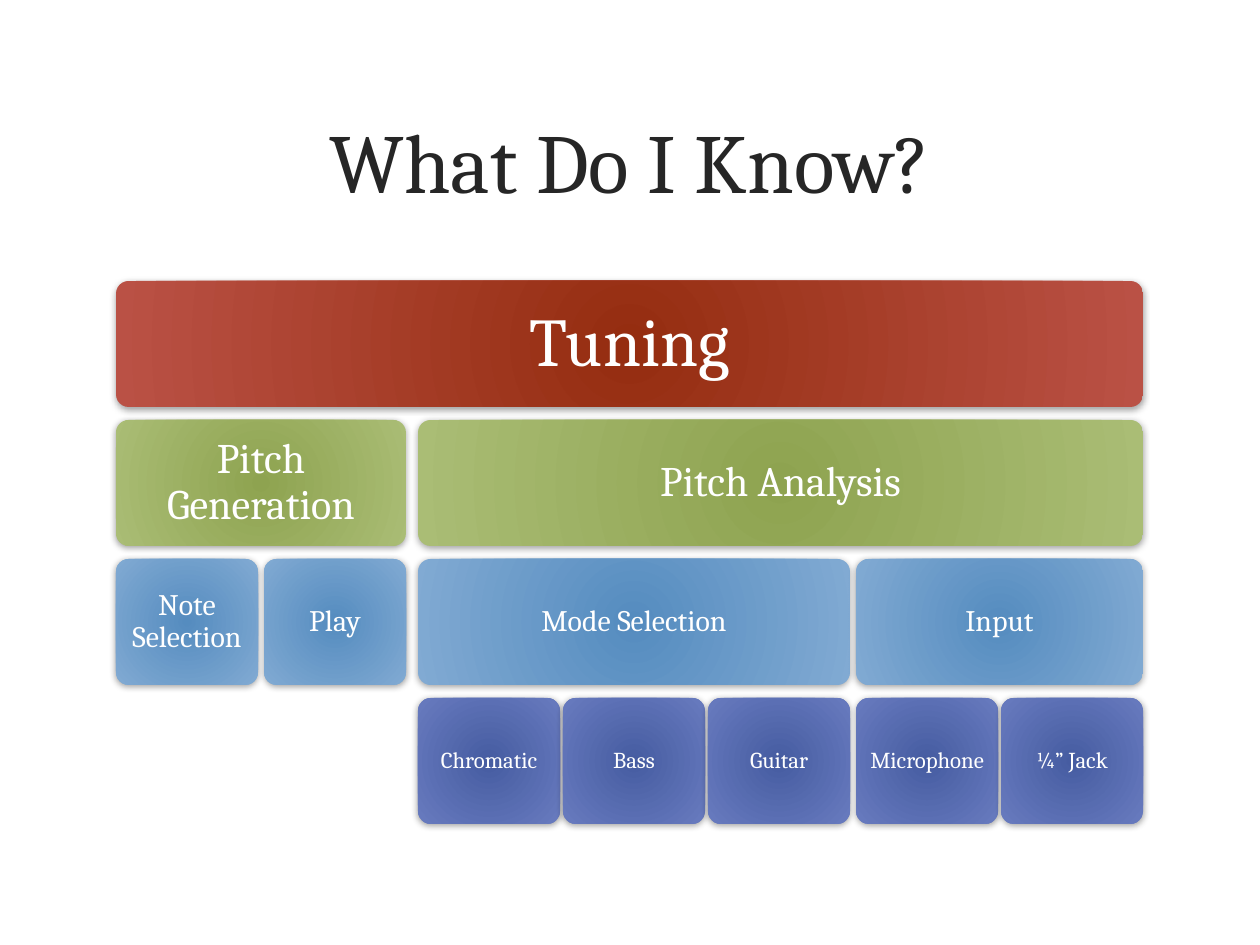
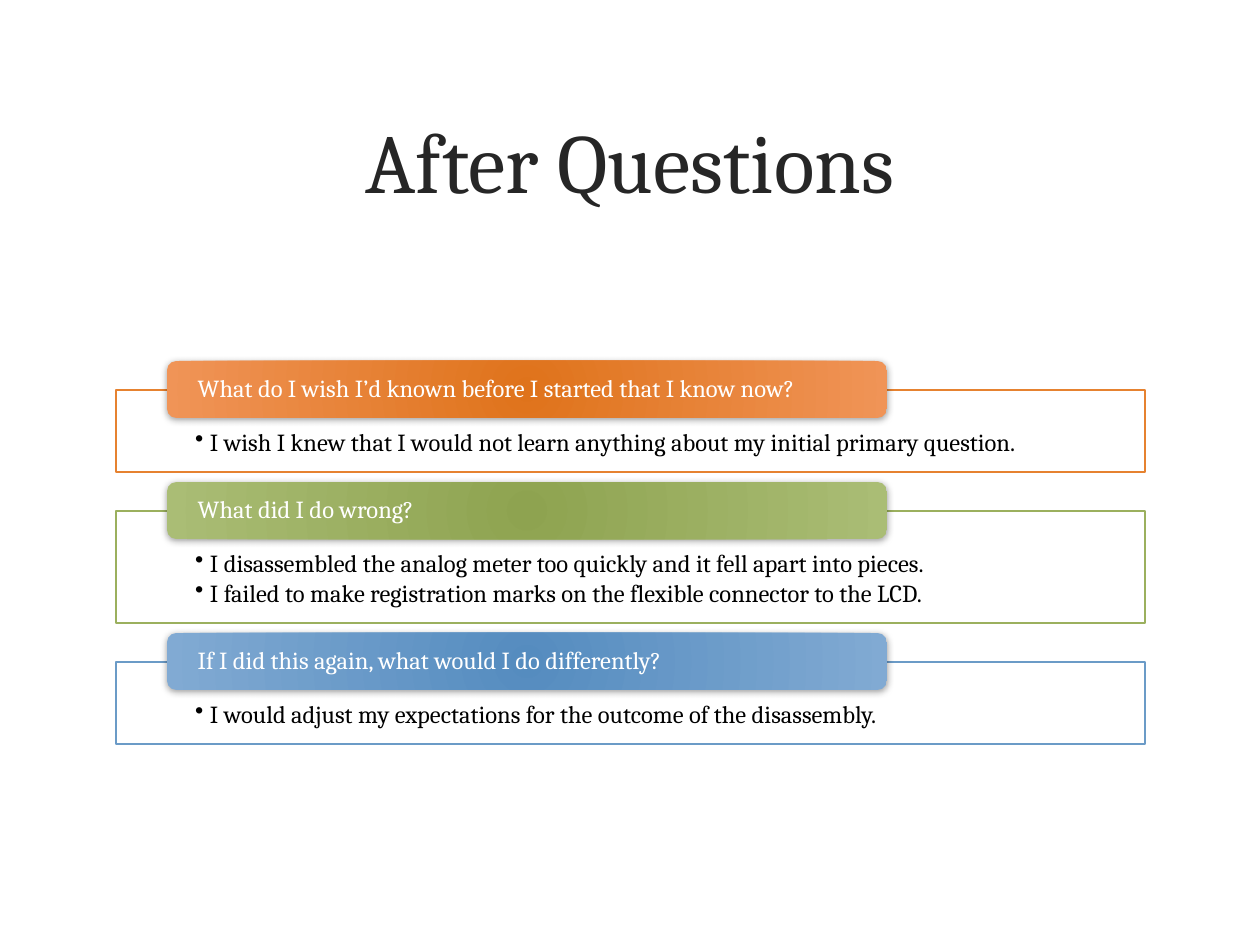
from lxml.etree import SubElement
from pptx import Presentation
from pptx.dml.color import RGBColor
from pptx.enum.shapes import MSO_SHAPE
from pptx.enum.text import MSO_ANCHOR, PP_ALIGN
from pptx.oxml import parse_xml
from pptx.oxml.ns import nsdecls, qn
from pptx.util import Emu, Pt

FONT = "Cambria"
INK = RGBColor(0x26, 0x26, 0x26)
BLACK = RGBColor(0x00, 0x00, 0x00)
WHITE = RGBColor(0xFF, 0xFF, 0xFF)
RED = (RGBColor(0x95, 0x2D, 0x10), RGBColor(0xBA, 0x51, 0x45))
GREEN = (RGBColor(0x8E, 0xA3, 0x50), RGBColor(0xAA, 0xBD, 0x75))
BLUE = (RGBColor(0x55, 0x8C, 0xBF), RGBColor(0x81, 0xAA, 0xD3))
INDIGO = (RGBColor(0x46, 0x5C, 0xA1), RGBColor(0x68, 0x7B, 0xBF))
ORANGE = (RGBColor(0xDF, 0x73, 0x1B), RGBColor(0xF0, 0x94, 0x57))
ORANGE_LINE = RGBColor(0xE6, 0x82, 0x30)
GREEN_LINE = RGBColor(0x9B, 0xB0, 0x5E)
BLUE_LINE = RGBColor(0x6B, 0x9B, 0xC7)

TOPIC_TITLE = "What Do I Know?"
TOPIC_TREE = ("Tuning", [
    ("Pitch Generation", [("Note Selection", []), ("Play", [])]),
    ("Pitch Analysis", [
        ("Mode Selection", [("Chromatic", []), ("Bass", []), ("Guitar", [])]),
        ("Input", [("Microphone", []), ("¼” Jack", [])]),
    ]),
])
TREE_LEVELS = [
    {"colors": RED, "size": 39, "inset": 20, "gap": 0},
    {"colors": GREEN, "size": 24, "inset": 12, "gap": 12},
    {"colors": BLUE, "size": 17, "inset": 8, "gap": 6},
    {"colors": INDIGO, "size": 13, "inset": 6, "gap": 3},
]

QUESTION_TITLE = "After Questions"
QUESTIONS = [
    ("What do I wish I’d known before I started that I know now?", ORANGE, ORANGE_LINE,
     ["I wish I knew that I would not learn anything about my initial primary question."]),
    ("What did I do wrong?", GREEN, GREEN_LINE,
     ["I disassembled the analog meter too quickly and it fell apart into pieces.",
      "I failed to make registration marks on the flexible connector to the LCD."]),
    ("If I did this again, what would I do differently?", BLUE, BLUE_LINE,
     ["I would adjust my expectations for the outcome of the disassembly."]),
]

LEFT = 116
TREE_TOP, ROW_PITCH, CARD_HEIGHT, LEAF_WIDTH = 281, 139, 126, 142
PANEL_TOP, PANEL_WIDTH, PANEL_GAP, PANEL_BASE, ANSWER_HEIGHT = 390, 1029, 39, 52, 30
BAR_LEFT, BAR_WIDTH, BAR_HEIGHT, BAR_RISE = 167, 720, 57, 29


def px(length):
    return Emu(round(length * 914400 / 126))


def write(shape, lines, size, color, insets, align=PP_ALIGN.CENTER,
          anchor=MSO_ANCHOR.MIDDLE, spacing=0.9, bullet_indent=0):
    frame = shape.text_frame
    frame.word_wrap = True
    frame.vertical_anchor = anchor
    frame.margin_left, frame.margin_top, frame.margin_right, frame.margin_bottom = map(px, insets)
    frame.text = "\n".join(lines)
    for paragraph in frame.paragraphs:
        paragraph.alignment = align
        paragraph.line_spacing = spacing
        if bullet_indent:
            properties = paragraph._p.get_or_add_pPr()
            properties.set("marL", str(px(bullet_indent)))
            properties.set("indent", str(-px(bullet_indent)))
            SubElement(properties, qn("a:buChar")).set("char", "•")
            paragraph.space_after = Pt(2)
        font = paragraph.font
        font.name, font.size, font.color.rgb = FONT, Pt(size), color


def add_title(slide, title):
    box = slide.shapes.add_textbox(px(76), px(60), px(1108), px(199))
    write(box, [title], 48, INK, (12, 6, 12, 6), spacing=1.0)


def add_card(slide, left, top, width, height, colors):
    card = slide.shapes.add_shape(
        MSO_SHAPE.ROUNDED_RECTANGLE, px(left), px(top), px(width), px(height))
    card.shadow.inherit = False
    card.line.fill.background()
    properties = card._element.spPr
    inner, outer = colors
    properties.insert(2, parse_xml(
        f'<a:gradFill {nsdecls("a")} rotWithShape="1"><a:gsLst>'
        f'<a:gs pos="0"><a:srgbClr val="{inner}"/></a:gs>'
        f'<a:gs pos="100000"><a:srgbClr val="{outer}"/></a:gs></a:gsLst>'
        '<a:path path="circle"><a:fillToRect l="40000" t="100000" r="40000" b="100000"/>'
        '</a:path></a:gradFill>'))
    properties.find(qn("a:effectLst")).append(parse_xml(
        f'<a:outerShdw {nsdecls("a")} blurRad="50800" dist="12700" dir="5400000" '
        'rotWithShape="0"><a:srgbClr val="000000"><a:alpha val="37000"/></a:srgbClr>'
        '</a:outerShdw>'))
    return card


def tree_width(node, level):
    children = node[1]
    if not children:
        return LEAF_WIDTH
    gaps = TREE_LEVELS[level + 1]["gap"] * (len(children) - 1)
    return sum(tree_width(child, level + 1) for child in children) + gaps


def add_tree(slide, node, left, level=0):
    label, children = node
    style = TREE_LEVELS[level]
    card = add_card(slide, left, TREE_TOP + level * ROW_PITCH,
                    tree_width(node, level), CARD_HEIGHT, style["colors"])
    card.adjustments[0] = 0.1
    write(card, [label], style["size"], WHITE, [style["inset"]] * 4)
    for child in children:
        add_tree(slide, child, left, level + 1)
        left += tree_width(child, level + 1) + TREE_LEVELS[level + 1]["gap"]


def add_questions(slide):
    top = PANEL_TOP
    for question, colors, line_color, answers in QUESTIONS:
        height = PANEL_BASE + ANSWER_HEIGHT * len(answers)
        panel = slide.shapes.add_shape(
            MSO_SHAPE.RECTANGLE, px(LEFT), px(top), px(PANEL_WIDTH), px(height))
        panel.shadow.inherit = False
        panel.fill.solid()
        panel.fill.fore_color.rgb = WHITE
        panel.line.color.rgb = line_color
        panel.line.width = Pt(0.75)
        write(panel, answers, 14, BLACK, (79, 40, 79, 14), PP_ALIGN.LEFT,
              MSO_ANCHOR.TOP, bullet_indent=15)
        bar = add_card(slide, BAR_LEFT, top - BAR_RISE, BAR_WIDTH, BAR_HEIGHT, colors)
        write(bar, [question], 14, WHITE, (28, 0, 28, 0), PP_ALIGN.LEFT)
        top += height + PANEL_GAP


def main():
    deck = Presentation()
    deck.slide_width, deck.slide_height = px(1260), px(945)
    pages = []
    for title in (TOPIC_TITLE, QUESTION_TITLE):
        page = deck.slides.add_slide(deck.slide_layouts[6])
        add_title(page, title)
        pages.append(page)
    add_tree(pages[0], TOPIC_TREE, LEFT)
    add_questions(pages[1])
    deck.save("out.pptx")


if __name__ == "__main__":
    main()
